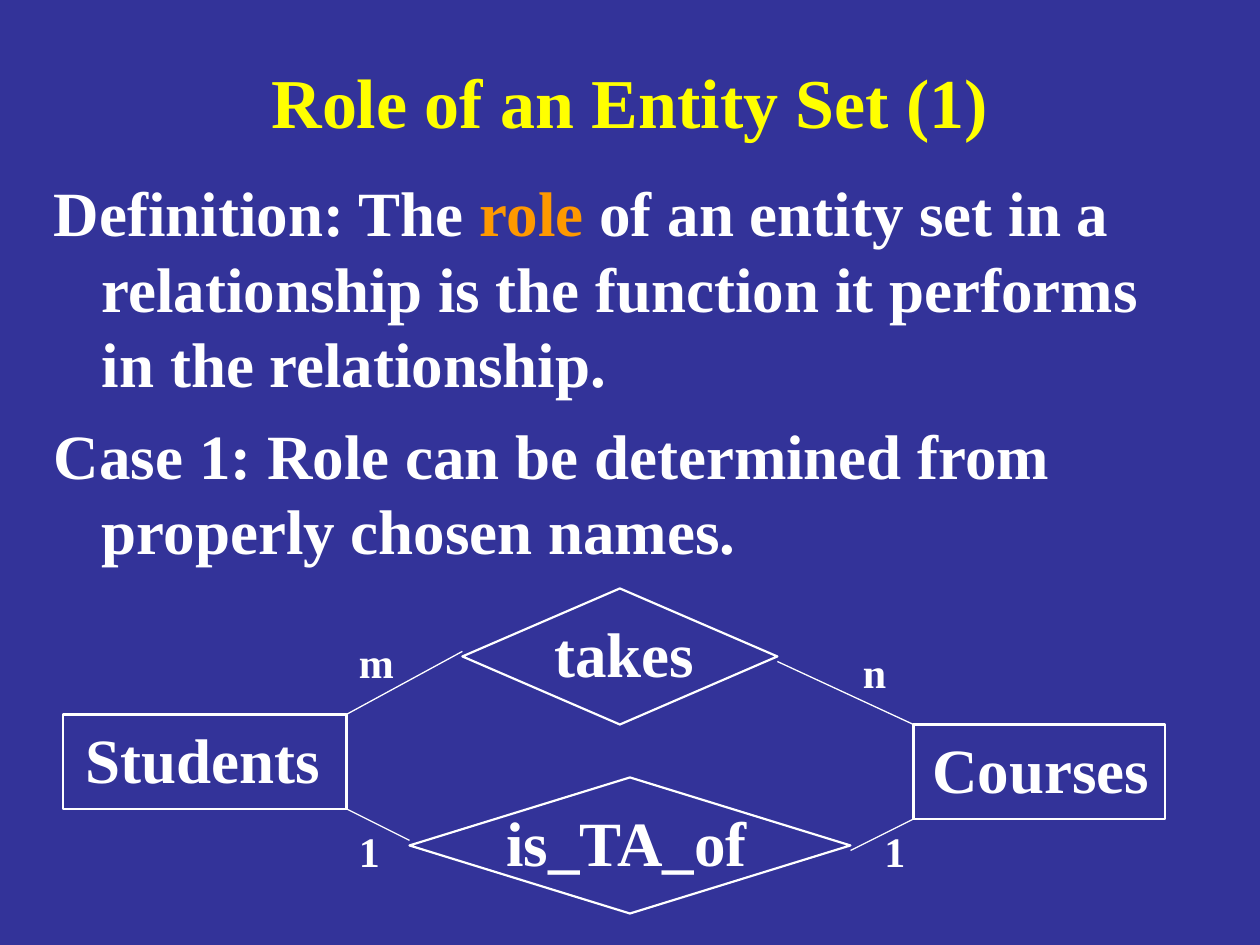
import pptx
import pptx.util
import pptx.dml.color
import pptx.enum.shapes
import pptx.enum.text
import pptx.oxml

Inches, Pt = pptx.util.Inches, pptx.util.Pt
SHAPE = pptx.enum.shapes.MSO_SHAPE
COLORS = {
    "background": "333399",
    "title": "FFFF00",
    "text": "FFFFFF",
    "accent": "FF9900",
}


def rgb(name):
    return pptx.dml.color.RGBColor.from_string(COLORS[name])


def style(run, size, color="text"):
    run.font.name = "Times New Roman"
    run.font.size = Pt(size)
    run.font.bold = True
    run.font.color.rgb = rgb(color)


deck = pptx.Presentation()
deck.slide_width, deck.slide_height = Inches(10), Inches(7.5)
slide = deck.slides.add_slide(deck.slide_layouts[6])
slide.background.fill.solid()
slide.background.fill.fore_color.rgb = rgb("background")

title = slide.shapes.add_textbox(Inches(0.75), Inches(0.42), Inches(8.5), Inches(0.75)).text_frame
title.word_wrap = True
title.vertical_anchor = pptx.enum.text.MSO_ANCHOR.MIDDLE
title.text = "Role of an Entity Set (1)"
title.paragraphs[0].alignment = pptx.enum.text.PP_ALIGN.CENTER
style(title.paragraphs[0].runs[0], 40, "title")

statements = [
    [
        ("Definition: The ", "text"),
        ("role", "accent"),
        (" of an entity set in a relationship is the function it performs in the relationship.", "text"),
    ],
    [("Case 1: Role can be determined from properly chosen names.", "text")],
]
body = slide.shapes.add_textbox(Inches(0.33), Inches(1.33), Inches(9.33), Inches(5.83)).text_frame
body.word_wrap = True
for index, statement in enumerate(statements):
    paragraph = body.add_paragraph() if index else body.paragraphs[0]
    if index:
        paragraph.space_before = Pt(9)
    properties = paragraph._p.get_or_add_pPr()
    properties.set("marL", str(Inches(0.38)))
    properties.set("indent", str(-Inches(0.38)))
    for wording, color in statement:
        run = paragraph.add_run()
        run.text = wording
        style(run, 36, color)

symbols = [
    (SHAPE.DIAMOND, 3.67, 4.67, 2.5, 1.08),
    (SHAPE.RECTANGLE, 0.5, 5.67, 2.25, 0.75),
    (SHAPE.RECTANGLE, 7.25, 5.75, 2, 0.75),
    (SHAPE.DIAMOND, 3.25, 6.17, 3.5, 1.08),
]
for kind, left, top, width, height in symbols:
    symbol = slide.shapes.add_shape(kind, Inches(left), Inches(top), Inches(width), Inches(height))
    symbol.shadow.inherit = False
    symbol.fill.background()
    symbol.line.color.rgb = rgb("text")
    symbol.line.width = Pt(1.25)

links = [
    (2.75, 5.67, 3.67, 5.17),
    (6.17, 5.25, 7.25, 5.75),
    (2.75, 6.42, 3.25, 6.67),
    (6.75, 6.75, 7.25, 6.5),
]
for ends in links:
    link = slide.shapes.add_connector(
        pptx.enum.shapes.MSO_CONNECTOR.STRAIGHT, *[Inches(value) for value in ends]
    )
    link.line.color.rgb = rgb("text")
    link.line.width = Pt(0.75)
    link._element.spPr.append(pptx.oxml.parse_xml(
        '<a:effectLst xmlns:a="http://schemas.openxmlformats.org/drawingml/2006/main"/>'
    ))

labels = [
    ("takes", 4.3, 4.83, 1.43, 0.7, 36),
    ("Students", 0.58, 5.67, 2.1, 0.7, 36),
    ("Courses", 7.3, 5.75, 2.04, 0.7, 36),
    ("is_TA_of", 3.92, 6.33, 2.2, 0.7, 36),
    ("m", 2.75, 5, 0.5, 0.5, 24),
    ("n", 6.75, 5.08, 0.4, 0.5, 24),
    ("1", 2.75, 6.5, 0.4, 0.5, 24),
    ("1", 6.92, 6.5, 0.4, 0.5, 24),
]
for wording, left, top, width, height, size in labels:
    label = slide.shapes.add_textbox(Inches(left), Inches(top), Inches(width), Inches(height)).text_frame
    label.word_wrap = False
    label.text = wording
    style(label.paragraphs[0].runs[0], size)

deck.save("out.pptx")
